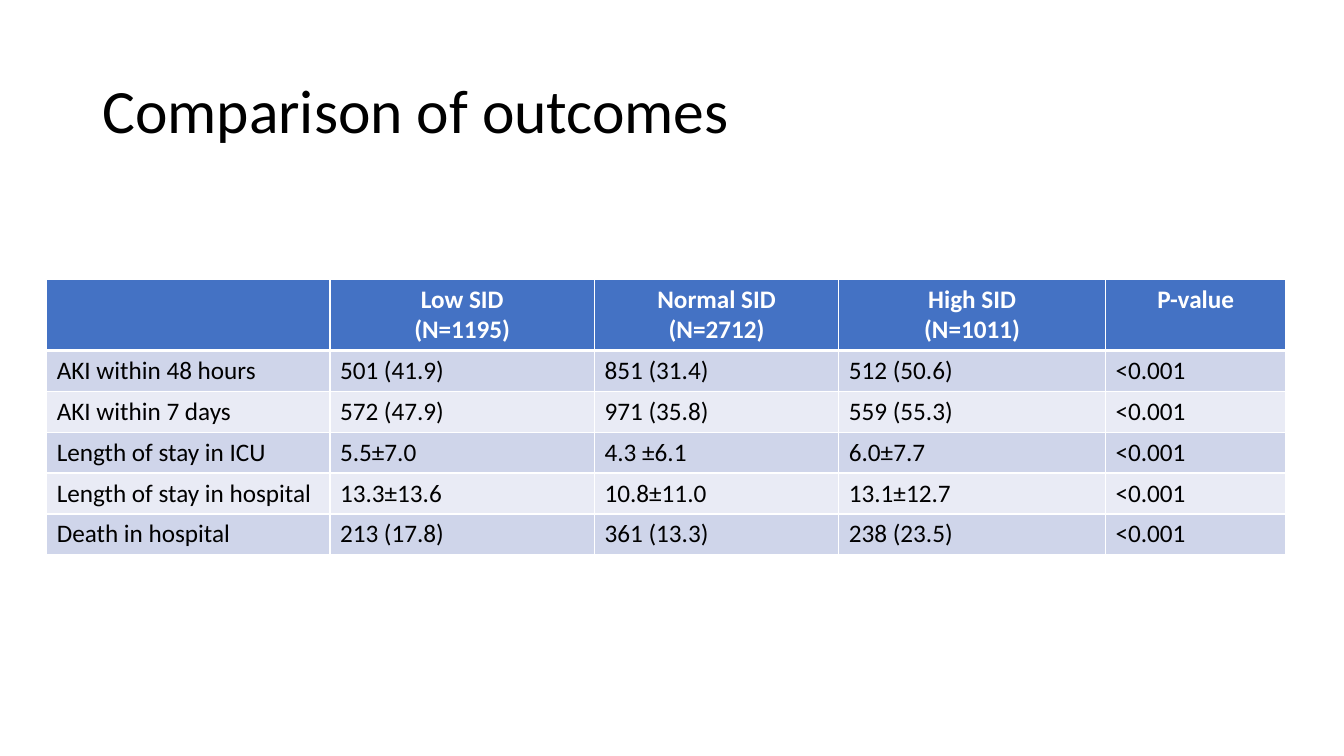
"""Build the slide that compares outcomes across three SID groups."""
from lxml import etree
from pptx import Presentation
from pptx.dml.color import RGBColor
from pptx.enum.text import MSO_ANCHOR, PP_ALIGN
from pptx.oxml.ns import qn
from pptx.util import Pt

MIDDLE = MSO_ANCHOR.MIDDLE
CENTER, LEFT = PP_ALIGN.CENTER, PP_ALIGN.LEFT
FONT = "Calibri"
COLORS = {"text": "000000", "white": "FFFFFF", "header": "4472C4",
          "odd": "CFD5EA", "even": "E9EBF5"}
COLUMN_WIDTHS = [202.3, 189, 174.5, 190.5, 129]
HEADER_HEIGHT, ROW_HEIGHT = 51, 29.2
ROWS = [
    ["", "Low SID\n(N=1195)", "Normal SID\n(N=2712)", "High SID\n(N=1011)", "P-value"],
    ["AKI within 48 hours", "501 (41.9)", "851 (31.4)", "512 (50.6)", "<0.001"],
    ["AKI within 7 days", "572 (47.9)", "971 (35.8)", "559 (55.3)", "<0.001"],
    ["Length of stay in ICU", "5.5±7.0", "4.3 ±6.1", "6.0±7.7", "<0.001"],
    ["Length of stay in hospital", "13.3±13.6", "10.8±11.0", "13.1±12.7", "<0.001"],
    ["Death in hospital", "213 (17.8)", "361 (13.3)", "238 (23.5)", "<0.001"],
]


def style_text(frame, size, color, bold, alignment):
    for para in frame.paragraphs:
        para.alignment = alignment
        para.font.size = Pt(size)
        for span in para.runs:
            span.font.name = FONT
            span.font.size = Pt(size)
            span.font.bold = bold
            span.font.color.rgb = RGBColor.from_string(COLORS[color])


def add_border(cell, side, width):
    line = etree.SubElement(cell._tc.get_or_add_tcPr(), qn(f"a:ln{side}"), w=str(Pt(width)))
    fill = etree.SubElement(line, qn("a:solidFill"))
    etree.SubElement(fill, qn("a:srgbClr"), val=COLORS["white"])


deck = Presentation()
deck.slide_width, deck.slide_height = Pt(960), Pt(540)
page = deck.slides.add_slide(deck.slide_layouts[6])

title = page.shapes.add_textbox(Pt(66), Pt(28.75), Pt(828), Pt(104.4)).text_frame
title.word_wrap = True
title.vertical_anchor = MIDDLE
title.text = "Comparison of outcomes"
title.paragraphs[0].line_spacing = 0.9
style_text(title, 44, "text", False, LEFT)

table_height = HEADER_HEIGHT + ROW_HEIGHT * (len(ROWS) - 1)
table = page.shapes.add_table(len(ROWS), len(COLUMN_WIDTHS), Pt(33.4), Pt(199.3),
                              Pt(sum(COLUMN_WIDTHS)), Pt(table_height)).table
for column, width in zip(table.columns, COLUMN_WIDTHS):
    column.width = Pt(width)

for row_index, values in enumerate(ROWS):
    is_header = row_index == 0
    table.rows[row_index].height = Pt(HEADER_HEIGHT if is_header else ROW_HEIGHT)
    band = "header" if is_header else "odd" if row_index % 2 else "even"
    border_widths = {"L": 1, "R": 1, "T": 3 if row_index == 1 else 1, "B": 3 if is_header else 1}
    for column_index, value in enumerate(values):
        cell = table.cell(row_index, column_index)
        cell.text_frame.text = value
        style_text(cell.text_frame, 18, "white" if is_header else "text",
                   is_header, CENTER if is_header else LEFT)
        for side, width in border_widths.items():
            add_border(cell, side, width)
        cell.fill.solid()
        cell.fill.fore_color.rgb = RGBColor.from_string(COLORS[band])

deck.save("out.pptx")
